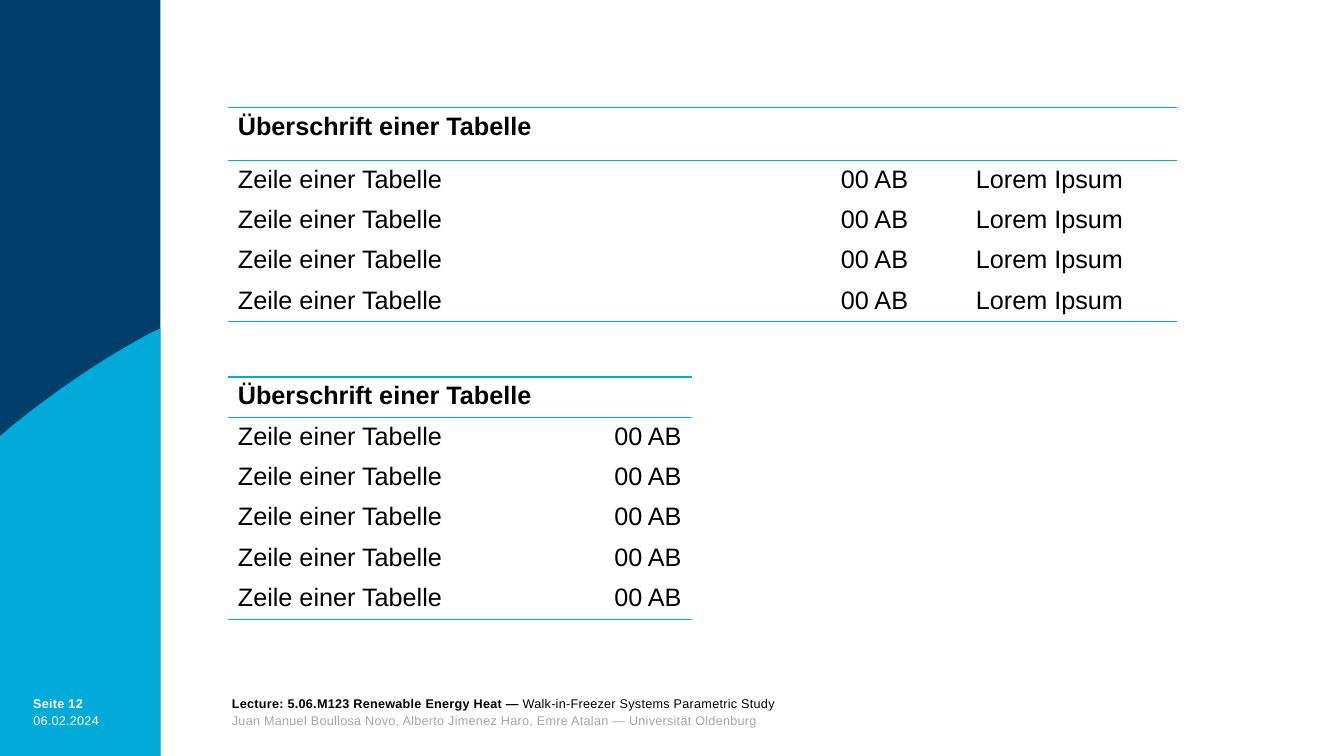
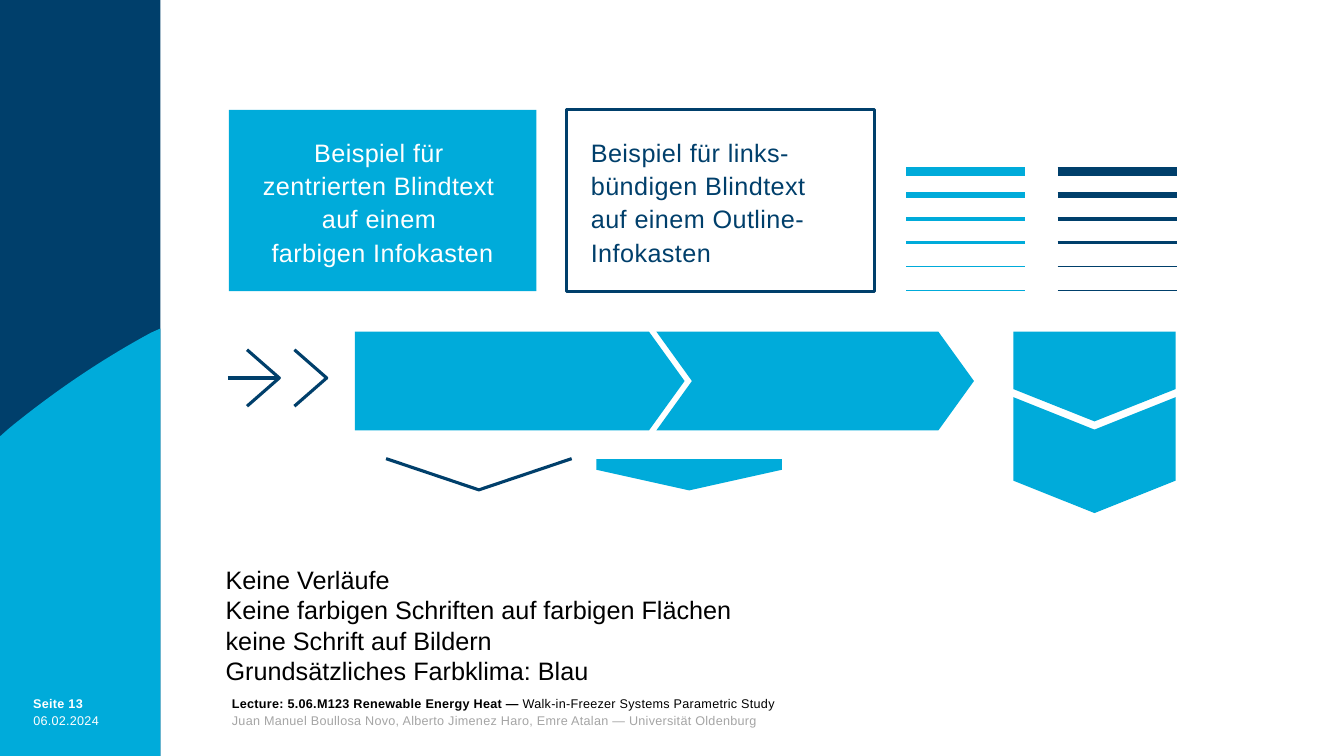
import pptx
import pptx.util
import pptx.dml.color
import pptx.enum.shapes
import pptx.enum.text
import pptx.oxml
import pptx.oxml.ns
from pptx.util import Inches

COLORS = {"navy": "003F6B", "cyan": "00ABDA", "white": "FFFFFF",
          "black": "000000", "grey": "A5A5A5"}
FONT = "Arial"
SHAPE = pptx.enum.shapes.MSO_SHAPE
ALIGN = pptx.enum.text.PP_ALIGN
ANCHOR = pptx.enum.text.MSO_ANCHOR


def rgb(name):
    return pptx.dml.color.RGBColor.from_string(COLORS[name])


def bezier(start, control_1, control_2, end, steps=24):
    """Points along a cubic curve, both ends included."""
    points = []
    for step in range(steps + 1):
        t = step / steps
        weights = ((1 - t) ** 3, 3 * t * (1 - t) ** 2, 3 * t * t * (1 - t), t ** 3)
        points.append(tuple(
            sum(w * c for w, c in zip(weights, axis))
            for axis in zip(start, control_1, control_2, end)))
    return points


class Deck:
    def __init__(self):
        self.presentation = pptx.Presentation()
        self.presentation.slide_width = Inches(13.33)
        self.presentation.slide_height = Inches(7.5)
        self.slide = None

    def new_slide(self, page):
        """Start a slide with the side band and the footer."""
        self.slide = self.presentation.slides.add_slide(
            self.presentation.slide_layouts[6])
        self.shape(SHAPE.RECTANGLE, 0, 0, 1.59, 7.5, fill="navy")
        arc = bezier((0.09, 4.25), (0.53, 3.89), (1, 3.57), (1.5, 3.3))
        self.outline([(1.59, 3.26), (1.59, 7.5), (0, 7.5), (0, 4.33)] + arc, fill="cyan")
        self.footer(0.33, 6.89, 1.14, 0.16, [[(f"Seite {page}", "white", True)]])
        self.footer(2.3, 6.89, 9.41, 0.4, [
            [("Lecture: 5.06.M123 Renewable Energy Heat — ", "black", True),
             ("Walk-in-Freezer Systems Parametric Study", "black", False)],
            [("Juan Manuel Boullosa Novo, Alberto Jimenez Haro, Emre Atalan — "
              "Universität Oldenburg", "grey", False)]])
        self.footer(0.33, 7.06, 0.98, 0.23, [[("06.02.2024", "white", False)]])

    def style_run(self, run, color, size=18, bold=False, spacing=0):
        """Format one run; spacing is the letter spacing in points."""
        run.font.name = FONT
        run.font.size = pptx.util.Pt(size)
        run.font.bold = bold
        run.font.color.rgb = rgb(color)
        if spacing:
            run.font._element.set("spc", str(round(spacing * 100)))

    def fill_frame(self, frame, texts, color, align=ALIGN.LEFT, leading=None,
                   bold=False, spacing=0):
        """Fill a text frame with one paragraph for each text."""
        frame.word_wrap = True
        for index, text in enumerate(texts):
            paragraph = frame.add_paragraph() if index else frame.paragraphs[0]
            paragraph.text = text
            paragraph.alignment = align
            if leading:
                paragraph.line_spacing = leading
            for run in paragraph.runs:
                self.style_run(run, color, bold=bold, spacing=spacing)

    def footer(self, left, top, width, height, lines):
        frame = self.slide.shapes.add_textbox(
            Inches(left), Inches(top), Inches(width), Inches(height)).text_frame
        frame.word_wrap = True
        frame.margin_left = frame.margin_right = 0
        frame.margin_top = frame.margin_bottom = 0
        for index, parts in enumerate(lines):
            paragraph = frame.add_paragraph() if index else frame.paragraphs[0]
            paragraph.line_spacing = pptx.util.Pt(12)
            for text, color, bold in parts:
                run = paragraph.add_run()
                run.text = text
                self.style_run(run, color, size=9, bold=bold, spacing=0.2)

    def text(self, left, top, width, height, texts):
        box = self.slide.shapes.add_textbox(
            Inches(left), Inches(top), Inches(width), Inches(height))
        self.fill_frame(box.text_frame, texts, "black")

    def paint(self, shape, fill=None, line=None, weight=2.25):
        shape.shadow.inherit = False
        if fill:
            shape.fill.solid()
            shape.fill.fore_color.rgb = rgb(fill)
        else:
            shape.fill.background()
        if line:
            shape.line.color.rgb = rgb(line)
            shape.line.width = pptx.util.Pt(weight)
        else:
            shape.line.fill.background()

    def shape(self, kind, left, top, width, height, fill, line=None,
              adjust=None, rotation=0):
        shape = self.slide.shapes.add_shape(
            kind, Inches(left), Inches(top), Inches(width), Inches(height))
        self.paint(shape, fill, line)
        if adjust is not None:
            shape.adjustments[0] = adjust
        shape.rotation = rotation
        return shape

    def info_box(self, left, texts, fill, color, align, line=None):
        frame = self.shape(SHAPE.RECTANGLE, left, 1.09, 3.05, 1.8, fill, line).text_frame
        frame.margin_left = frame.margin_right = Inches(0.24)
        frame.margin_top = frame.margin_bottom = Inches(0.08)
        frame.vertical_anchor = ANCHOR.MIDDLE
        self.fill_frame(frame, texts, color, align, leading=1.1, spacing=0.3)

    def outline(self, points, fill=None, line=None):
        """Draw a closed area when filled, otherwise an open stroke."""
        (x, y), *rest = [(Inches(px), Inches(py)) for px, py in points]
        builder = self.slide.shapes.build_freeform(x, y)
        builder.add_line_segments(rest, close=bool(fill))
        self.paint(builder.convert_to_shape(), fill, line)

    def line(self, x1, y1, x2, y2, color, weight):
        connector = self.slide.shapes.add_connector(
            pptx.enum.shapes.MSO_CONNECTOR.STRAIGHT,
            Inches(x1), Inches(y1), Inches(x2), Inches(y2))
        connector.line.color.rgb = rgb(color)
        connector.line.width = pptx.util.Pt(weight)
        connector._element.spPr.append(pptx.oxml.parse_xml(
            f"<a:effectLst {pptx.oxml.ns.nsdecls('a')}/>"))

    def cell_borders(self, cell, ruled):
        """Rule the named sides of a cell and clear the others."""
        properties = cell._tc.get_or_add_tcPr()
        for position, side in enumerate(("lnL", "lnR", "lnT", "lnB")):
            paint = (f'<a:solidFill><a:srgbClr val="{COLORS["cyan"]}"/></a:solidFill>'
                     if side in ruled else "<a:noFill/>")
            properties.insert(position, pptx.oxml.parse_xml(
                f'<a:{side} {pptx.oxml.ns.nsdecls("a")} w="12192">{paint}</a:{side}>'))

    def table(self, top, widths, header_height, rows, aligns):
        row_height = 0.38
        height = header_height + row_height * (len(rows) - 1)
        table = self.slide.shapes.add_table(
            len(rows), len(widths), Inches(2.26), Inches(top),
            Inches(sum(widths)), Inches(height)).table
        table.first_row = table.horz_banding = False
        for column, width in zip(table.columns, widths):
            column.width = Inches(width)
        for index, texts in enumerate(rows):
            table.rows[index].height = Inches(row_height if index else header_height)
            ruled = {"lnT"} if index < 2 else set()
            if index in (0, len(rows) - 1):
                ruled.add("lnB")
            for column, text in enumerate(texts):
                cell = table.cell(index, column)
                cell.fill.background()
                self.cell_borders(cell, ruled)
                self.fill_frame(cell.text_frame, [text], "black", aligns[column],
                                bold=index == 0)


def tables_slide(deck):
    deck.new_slide(12)
    heading, entry, amount = "Überschrift einer Tabelle", "Zeile einer Tabelle", "00 AB"
    deck.table(1.07, [5.98, 1.34, 2.09], 0.52,
               [[heading, "", ""]] + [[entry, amount, "Lorem Ipsum"]] * 4,
               [ALIGN.LEFT] * 3)
    deck.table(3.74, [3.58, 1.02], 0.38,
               [[heading, ""]] + [[entry, amount]] * 5,
               [ALIGN.LEFT, ALIGN.RIGHT])


def shapes_slide(deck):
    deck.new_slide(13)
    deck.info_box(2.27, ["Beispiel für ", "zentrierten Blindtext \vauf einem ",
                         "farbigen Infokasten"], "cyan", "white", ALIGN.CENTER)
    deck.info_box(5.62, ["Beispiel für links-bündigen Blindtext \v"
                         "auf einem Outline- Infokasten"],
                  "white", "navy", ALIGN.LEFT, line="navy")

    for left, color in ((8.99, "cyan"), (10.49, "navy")):
        for step, weight in enumerate((6, 4.5, 3, 2.25, 1, 0.75)):
            y = 1.7 + step * 1.18 / 5
            deck.line(left, y, left + 1.18, y, color, weight)

    deck.outline([(3.83, 4.55), (4.75, 4.86), (5.67, 4.55)], line="navy")
    for tip in (2.77, 3.24):
        deck.outline([(tip - 0.32, 3.47), (tip, 3.75), (tip - 0.32, 4.03)], line="navy")
    deck.line(2.26, 3.75, 2.77, 3.75, "navy", 2.25)

    for kind, left, top, width, height, adjust, rotation in (
            (SHAPE.PENTAGON, 3.52, 3.29, 3.27, 0.98, 0.36, 0),
            (SHAPE.CHEVRON, 6.51, 3.29, 3.15, 0.98, 0.36, 0),
            (SHAPE.PENTAGON, 10.41, 2.93, 0.89, 1.61, 0.36, 90),
            (SHAPE.CHEVRON, 10.28, 3.71, 1.15, 1.61, 0.28, 90),
            (SHAPE.PENTAGON, 6.68, 3.79, 0.31, 1.84, 0.66, 90)):
        deck.shape(kind, left, top, width, height, "cyan",
                   adjust=adjust, rotation=rotation)

    deck.text(2.14, 5.55, 6.67, 1.3, [
        "Keine Verläufe", "Keine farbigen Schriften auf farbigen Flächen",
        "keine Schrift auf Bildern", "Grundsätzliches Farbklima: Blau"])


def main():
    deck = Deck()
    tables_slide(deck)
    shapes_slide(deck)
    deck.presentation.save("out.pptx")


if __name__ == "__main__":
    main()
